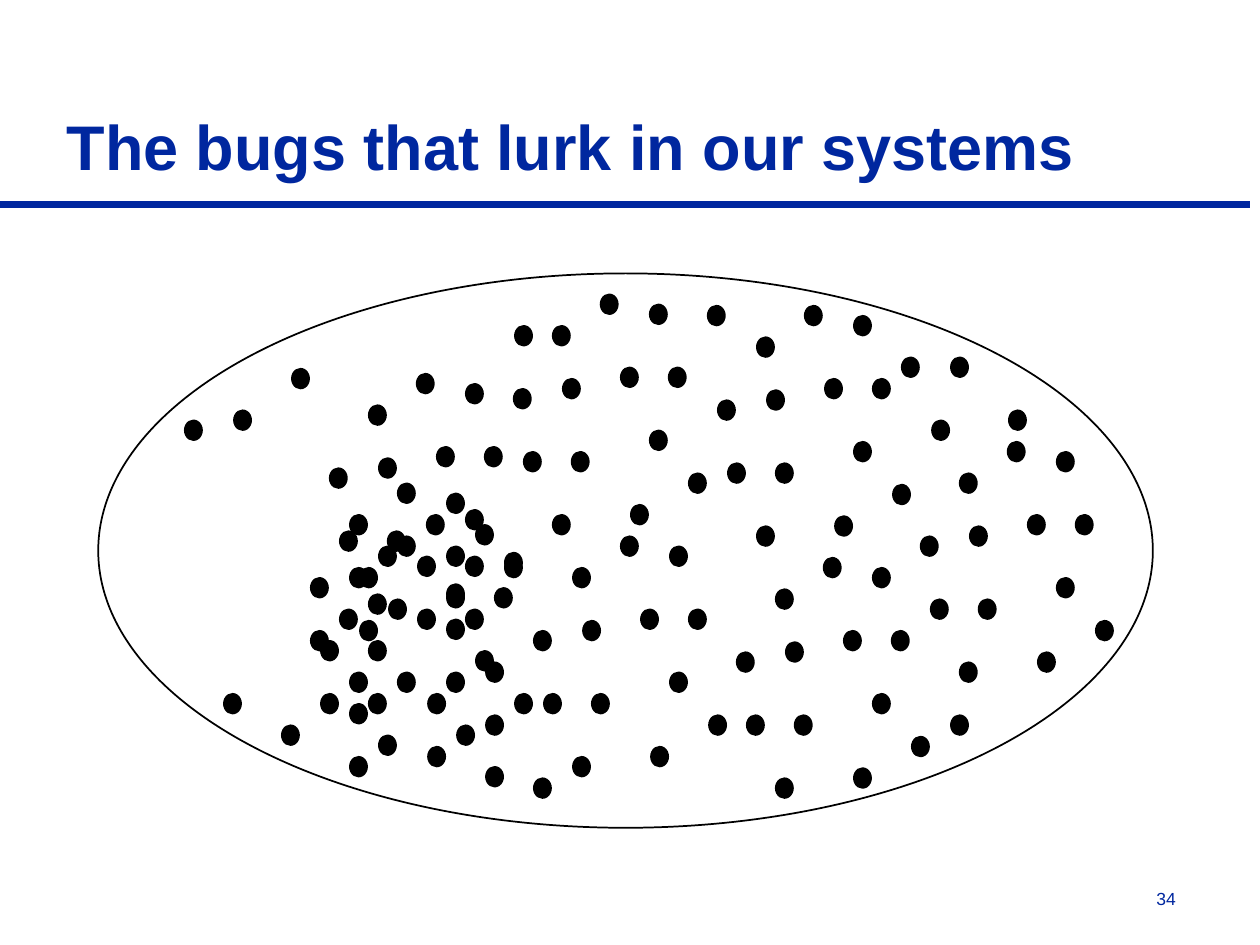
from lxml.etree import SubElement
from pptx import Presentation
from pptx.dml.color import RGBColor
from pptx.enum.shapes import MSO_CONNECTOR, MSO_SHAPE
from pptx.enum.text import MSO_ANCHOR, PP_ALIGN
from pptx.oxml.ns import qn
from pptx.util import Inches, Pt

BLUE = RGBColor(0x00, 0x27, 0x9F)
BLACK = RGBColor(0x00, 0x00, 0x00)
WHITE = RGBColor(0xFF, 0xFF, 0xFF)

CLUSTER_OFFSETS = [
    (0, 0), (-0.23, 1), (0.38, -0.25), (0.54, 0.33), (0.62, 1.42),
    (0.77, 0.83), (0.15, 1), (1.08, 1.17), (0.92, 0.33), (0.08, 0.42),
    (-0.31, 0.5), (0.77, -0.17), (0, 1.5),
]
CLUSTER_ORIGINS = [
    (7.61, 3.75), (6, 2.67), (2.77, 4.5), (6.15, 4.67), (2.77, 4.08),
    (4.38, 2.58), (2.92, 3.21), (4.54, 4.5), (3, 4.33),
]
SINGLE_BUGS = [
    (5.61, 2.42), (4, 4.42), (1.77, 5.5), (2.23, 5.75), (2.31, 2.92),
    (1.85, 3.25), (1.46, 3.33), (3.85, 6.08), (4.23, 6.17), (7.15, 2.83),
    (8, 3.25), (7.54, 2.83), (7.39, 3.33), (4.08, 2.58), (7.54, 5.67),
]


def add_text(page, text, left, top, width, height, size, bold=False,
             align=PP_ALIGN.LEFT, anchor=MSO_ANCHOR.TOP):
    """Add a text box holding one blue span."""
    box = page.shapes.add_textbox(Inches(left), Inches(top), Inches(width), Inches(height))
    box.text_frame.word_wrap = True
    box.text_frame.vertical_anchor = anchor
    para = box.text_frame.paragraphs[0]
    para.alignment = align
    span = para.add_run()
    span.text = text
    span.font.name = "Arial"
    span.font.size = Pt(size)
    span.font.bold = bold
    span.font.color.rgb = BLUE


def add_rule(page, left, right, top):
    """Add the horizontal line under the title."""
    rule = page.shapes.add_connector(
        MSO_CONNECTOR.STRAIGHT, Inches(left), Inches(top), Inches(right), Inches(top))
    rule.line.color.rgb = BLUE
    rule.line.width = Pt(4)
    SubElement(rule._element.spPr, qn("a:effectLst"))


def add_ellipse(shapes, left, top, width, height, fill):
    """Add a filled ellipse without shadow and return it."""
    ellipse = shapes.add_shape(
        MSO_SHAPE.OVAL, Inches(left), Inches(top), Inches(width), Inches(height))
    ellipse.shadow.inherit = False
    ellipse.fill.solid()
    ellipse.fill.fore_color.rgb = fill
    return ellipse


def add_system(page):
    """Add the large outlined ellipse that contains the bugs."""
    system = add_ellipse(page.shapes, 0.78, 2.17, 8.37, 4.4, WHITE)
    system.line.color.rgb = BLACK
    system.line.width = Pt(1)


def add_bug(shapes, left, top):
    """Add one black dot."""
    bug = add_ellipse(shapes, left, top, 0.15, 0.17, BLACK)
    bug.line.fill.background()


def add_cluster(page, left, top):
    """Add a group of bugs in the shared pattern."""
    cluster = page.shapes.add_group_shape()
    for across, down in CLUSTER_OFFSETS:
        add_bug(cluster.shapes, left + across, top + down)


def main():
    """Build the slide and save the deck."""
    deck = Presentation()
    deck.slide_width = Inches(10)
    deck.slide_height = Inches(7.5)
    page = deck.slides.add_slide(deck.slide_layouts[6])
    add_rule(page, 0, 9.92, 1.62)
    add_text(page, "34", 8.94, 7, 0.49, 0.27, 10, align=PP_ALIGN.RIGHT)
    add_text(page, "The bugs that lurk in our systems", 0.43, 0.29, 8.91, 1.21, 36,
             bold=True, anchor=MSO_ANCHOR.BOTTOM)
    add_system(page)
    for left, top in CLUSTER_ORIGINS:
        add_cluster(page, left, top)
    for left, top in SINGLE_BUGS:
        add_bug(page.shapes, left, top)
    deck.save("out.pptx")


if __name__ == "__main__":
    main()
